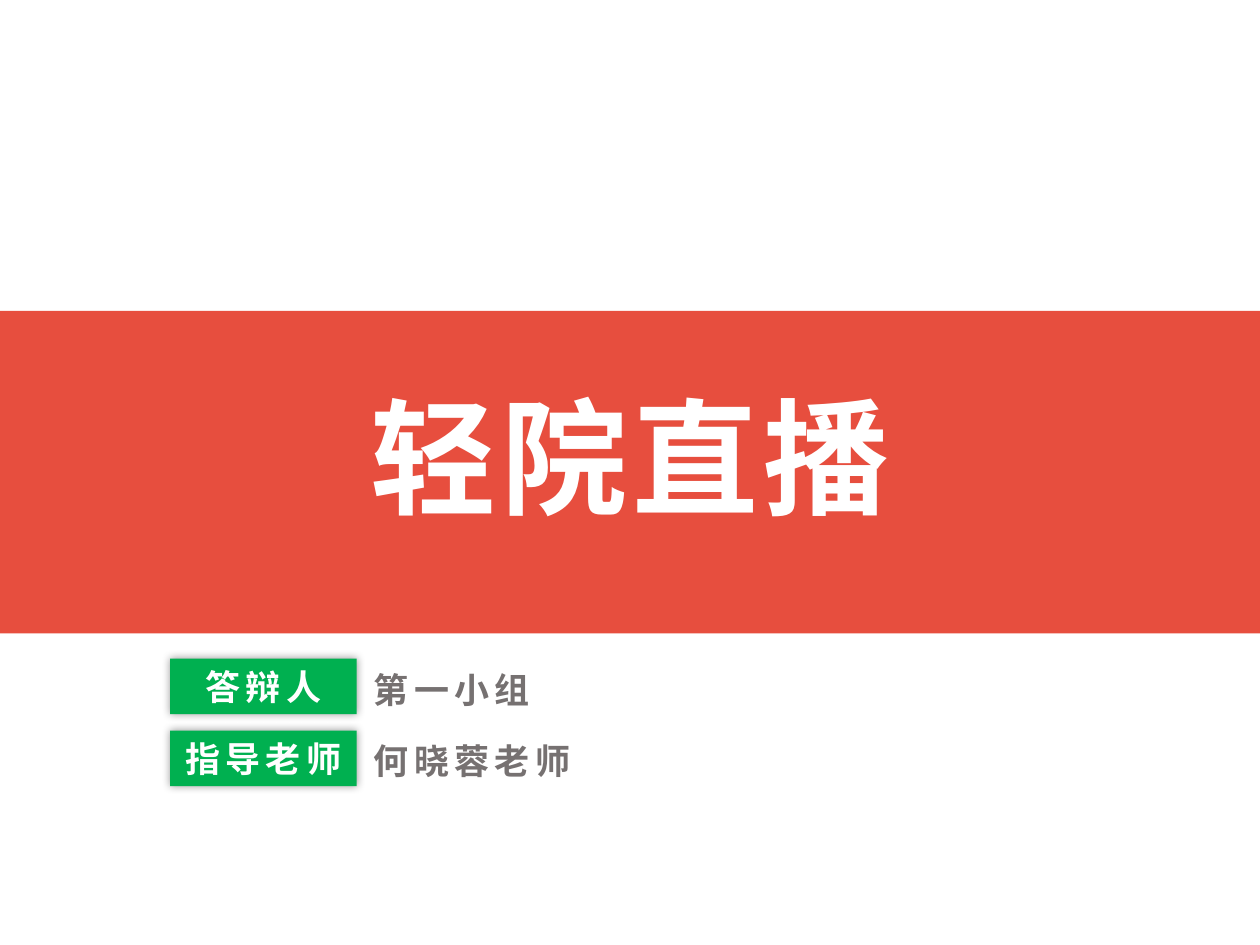
from dataclasses import dataclass

from lxml.etree import SubElement
from pptx import Presentation
from pptx.dml.color import RGBColor
from pptx.enum.shapes import MSO_SHAPE as SHAPE
from pptx.enum.text import MSO_ANCHOR as ANCHOR, MSO_AUTO_SIZE as AUTO, PP_ALIGN as ALIGN
from pptx.oxml.ns import qn
from pptx.util import Cm, Pt


@dataclass(frozen=True)
class Theme:
    """Colours, font and type sizes of the slide."""
    band: str = "E74E3E"
    label: str = "00B050"
    light: str = "FFFFFF"
    name: str = "767171"
    font: str = "Noto Sans CJK SC"
    title_size: int = 72
    body_size: int = 20
    spacing: int = 3


THEME = Theme()


def set_text(sp, text, size=THEME.body_size, color=THEME.light, align=ALIGN.CENTER, inset=0.25):
    """Write one bold, letter-spaced line of text into a shape."""
    tf = sp.text_frame
    tf.word_wrap = True
    tf.auto_size = AUTO.NONE
    tf.vertical_anchor = ANCHOR.MIDDLE
    tf.margin_left = tf.margin_right = Cm(inset)
    p = tf.paragraphs[0]
    p.alignment = align
    r = p.add_run()
    r.text = text
    r.font.name, r.font.size, r.font.bold = THEME.font, Pt(size), True
    r.font.color.rgb = RGBColor.from_string(color)
    props = r.font._element
    props.set("spc", str(THEME.spacing * 100))
    SubElement(props, qn("a:ea"), typeface=THEME.font)


def add_box(s, x, y, w, h, color):
    """Add a plain filled rectangle without outline."""
    sp = s.shapes.add_shape(SHAPE.RECTANGLE, Cm(x), Cm(y), Cm(w), Cm(h))
    sp.fill.solid()
    sp.fill.fore_color.rgb = RGBColor.from_string(color)
    sp.line.fill.background()
    sp.shadow.inherit = False
    return sp


def add_glow_shadow(sp, blur=5, opacity=40):
    """Give a shape a soft black shadow on all sides."""
    effects = sp.element.spPr.find(qn("a:effectLst"))
    shadow = SubElement(effects, qn("a:outerShdw"), blurRad=str(Pt(blur)), dist="0",
                        dir="0", algn="ctr", rotWithShape="0")
    black = SubElement(shadow, qn("a:srgbClr"), val="000000")
    SubElement(black, qn("a:alpha"), val=str(opacity * 1000))


def add_title(s, text):
    """Place the title placeholder on top of the band."""
    sp = s.shapes.title
    sp.left, sp.top, sp.width, sp.height = Cm(2.95), Cm(7.52), Cm(19.5), Cm(3.32)
    set_text(sp, text, size=THEME.title_size)
    s.shapes.element.append(sp.element)


def add_credit(s, y, label, name, name_width):
    """Add a green label with the matching name beside it."""
    sp = add_box(s, 3.43, y, 3.76, 1.12, THEME.label)
    add_glow_shadow(sp)
    set_text(sp, label, inset=0)
    sp = s.shapes.add_textbox(Cm(7.29), Cm(y + 0.05), Cm(name_width), Cm(1.12))
    set_text(sp, name, color=THEME.name, align=ALIGN.LEFT)


def main():
    """Build the cover slide and save it."""
    prs = Presentation()
    prs.slide_width, prs.slide_height = Cm(25.4), Cm(19.05)
    s = prs.slides.add_slide(prs.slide_layouts[5])
    add_box(s, 0, 6.27, 25.4, 6.5, THEME.band)
    add_title(s, "轻院直播")
    credits = [("答辩人", "第一小组", 4.5), ("指导老师", "何晓蓉老师", 4.95)]
    for i, (label, name, width) in enumerate(credits):
        add_credit(s, 13.28 + i * 1.45, label, name, width)
    prs.save("out.pptx")


if __name__ == "__main__":
    main()
